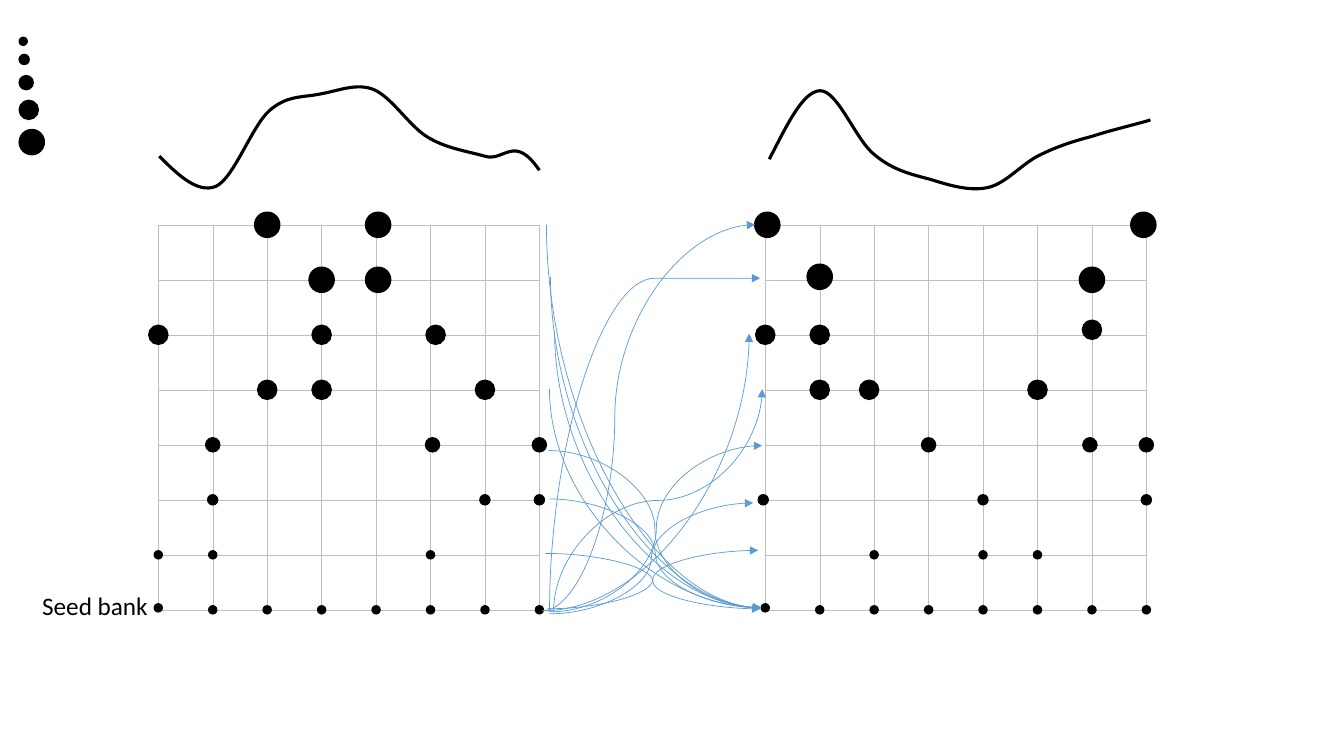
from dataclasses import dataclass

from lxml import etree
from pptx import Presentation
from pptx.dml.color import RGBColor
from pptx.enum.shapes import MSO_CONNECTOR, MSO_SHAPE
from pptx.enum.text import MSO_AUTO_SIZE
from pptx.oxml.ns import qn
from pptx.util import Inches, Pt

OVAL = MSO_SHAPE.OVAL
CURVE = MSO_CONNECTOR.CURVE
FIT = MSO_AUTO_SIZE.SHAPE_TO_FIT_TEXT


@dataclass(frozen=True)
class Theme:
    """Colours, font and sizes of the slide."""
    ink: RGBColor = RGBColor(0, 0, 0)
    grid: str = "BFBFBF"
    link: RGBColor = RGBColor(0x5B, 0x9B, 0xD5)
    font: str = "Calibri"
    label: Pt = Pt(18)
    grid_line: Pt = Pt(0.25)
    dot_line: Pt = Pt(1)
    wave_line: Pt = Pt(2.25)
    link_line: Pt = Pt(0.5)


T = Theme()
N = 7
COL, ROW = 0.54, 3.82 / N
GRID_TOP, WAVE_TOP = 2.23, 0.86
ROW_SIZES = [0.25, 0.25, 0.19, 0.19, 0.14, 0.1, 0.08, 0.08]

LEFT_DOTS = [[2, 4], [3, 4], [0, 3, 5], [2, 3, 6], [1, 5, 7], [1, 6, 7], [0, 1, 5], range(8)]
LEFT_NUDGES = {(4, 0): (0.02, 0), (4, 1): (0.02, 0), (5, 2): (0.05, 0),
               (5, 4): (0.02, 0), (0, 7): (0, -0.02)}
LEFT_WAVE = [(0, 0.69), (0.19, 0.88), (0.38, 1.06), (0.56, 0.99), (0.74, 0.91), (0.92, 0.39),
             (1.09, 0.24), (1.27, 0.08), (1.43, 0.11), (1.61, 0.07), (1.78, 0.04),
             (1.96, -0.04), (2.13, 0.03), (2.31, 0.11), (2.48, 0.39), (2.66, 0.5),
             (2.84, 0.61), (3.05, 0.64), (3.23, 0.69), (3.42, 0.75), (3.52, 0.46), (3.77, 0.83)]

RIGHT_DOTS = [[0, 7], [1, 6], [0, 1, 6], [1, 2, 5], [3, 6, 7], [0, 4, 7], [2, 4, 5], range(8)]
RIGHT_NUDGES = {(0, 0): (0.02, 0), (7, 0): (-0.03, 0), (1, 1): (0, -0.03), (6, 2): (0, -0.05),
                (2, 3): (-0.05, 0), (6, 4): (-0.02, 0), (0, 5): (-0.02, 0), (0, 7): (0, -0.02)}
RIGHT_WAVE = [(0, 0.72), (0.17, 0.39), (0.33, 0.05), (0.5, 0.04), (0.68, 0.03), (0.86, 0.54),
              (1.05, 0.68), (1.23, 0.83), (1.41, 0.87), (1.6, 0.92), (1.79, 0.98),
              (1.99, 1.04), (2.17, 1), (2.35, 0.96), (2.51, 0.76), (2.68, 0.68),
              (2.86, 0.59), (3.02, 0.54), (3.21, 0.49), (3.39, 0.43), (3.69, 0.36), (3.78, 0.33)]

LINKS = [
    ((0.04, 0), (2.17, 3.8), "curvedConnector2", True, None),
    ((0.08, 0.52), (2.17, 3.8), "curvedConnector2", True, None),
    ((0.12, 1.06), (2.17, 3.8), "curvedConnector2", True, None),
    ((0.07, 1.63), (2.17, 3.8), "curvedConnector2", True, None),
    ((0.07, 2.72), (2.17, 3.8), "curvedConnector3", False, 0.5),
    ((0.06, 2.24), (2.17, 3.8), "curvedConnector3", False, 0.5),
    ((0.03, 3.26), (2.16, 3.81), "curvedConnector3", False, 0.5),
    ((0, 3.83), (2.11, 0), "curvedConnector3", False, 0.34),
    ((0.07, 3.84), (2.16, 0.53), "curvedConnector3", True, 1),
    ((0, 3.83), (2.05, 1.08), "curvedConnector2", False, None),
    ((0.11, 3.84), (2.18, 1.63), "curvedConnector3", True, 0.5),
    ((0.08, 3.84), (2.18, 2.19), "curvedConnector3", False, 0.5),
    ((0.07, 3.86), (2.09, 2.76), "curvedConnector3", False, 0.5),
    ((0.05, 3.81), (2.14, 3.23), "curvedConnector3", False, 0.5),
]


def add_dot(s, x, y, size):
    """Draw a black dot centred on x, y."""
    sp = s.shapes.add_shape(OVAL, Inches(x - size / 2), Inches(y - size / 2),
                            Inches(size), Inches(size))
    sp.shadow.inherit = False
    sp.fill.solid()
    sp.fill.fore_color.rgb = sp.line.color.rgb = T.ink
    sp.line.width = T.dot_line


def add_grid(s, x, y):
    """Draw the empty square grid as a table with thin borders."""
    tbl = s.shapes.add_table(N, N, Inches(x), Inches(y), Inches(COL * N), Inches(ROW * N)).table
    tbl.first_row = tbl.horz_banding = False
    for col in tbl.columns:
        col.width = Inches(COL)
    for row in tbl.rows:
        row.height = Inches(ROW)
    for cell in tbl.iter_cells():
        tcPr = cell._tc.get_or_add_tcPr()
        for side in ("lnL", "lnR", "lnT", "lnB"):
            ln = etree.SubElement(tcPr, qn("a:" + side), w=str(T.grid_line))
            fill = etree.SubElement(ln, qn("a:solidFill"))
            etree.SubElement(fill, qn("a:srgbClr"), val=T.grid)
        cell.fill.background()


def add_wave(s, x, y, points):
    """Draw a smooth line through Bezier points given from x, y."""
    start, *rest = [(Inches(x + dx), Inches(y + dy)) for dx, dy in points]
    fb = s.shapes.build_freeform(*start)
    fb.add_line_segments(rest, close=False)
    sp = fb.convert_to_shape()
    sp.shadow.inherit = False
    sp.fill.background()
    sp.line.color.rgb = T.ink
    sp.line.width = T.wave_line
    steps = list(sp._element.iter(qn("a:lnTo")))
    for i in range(0, len(steps), 3):
        bezier = etree.SubElement(steps[i].getparent(), qn("a:cubicBezTo"))
        for step in steps[i:i + 3]:
            bezier.append(step[0])
            step.getparent().remove(step)


def add_panel(s, x, wave_x, dots, nudges, wave):
    """Draw one grid with its dots on the nodes and the wave above."""
    add_grid(s, x, GRID_TOP)
    for row, (cols, size) in enumerate(zip(dots, ROW_SIZES)):
        for col in cols:
            dx, dy = nudges.get((col, row), (0, 0))
            add_dot(s, x + col * COL + dx, GRID_TOP + row * ROW + dy, size)
    add_wave(s, wave_x, WAVE_TOP, wave)


def add_link(s, x, y, start, end, preset, upright, bend):
    """Draw a curved arrow; an upright one leaves its start vertically."""
    (x1, y1), (x2, y2) = start, end
    turn = 0
    if upright:
        cx, cy = (x1 + x2) / 2, (y1 + y2) / 2
        a, b = abs(y2 - y1) / 2, (x2 - x1) / 2
        turn = 270 if y2 > y1 else 90
        if turn == 270:
            b = -b
        x1, y1, x2, y2 = cx + a, cy + b, cx - a, cy - b
    c = s.shapes.add_connector(CURVE, Inches(x + x1), Inches(y + y1),
                               Inches(x + x2), Inches(y + y2))
    c.line.color.rgb = T.link
    c.line.width = T.link_line
    spPr = c._element.spPr
    etree.SubElement(c.line._get_or_add_ln(), qn("a:tailEnd"), type="triangle")
    etree.SubElement(spPr, qn("a:effectLst"))
    spPr.find(qn("a:xfrm")).set("rot", str(turn * 60000))
    geom = spPr.find(qn("a:prstGeom"))
    geom.set("prst", preset)
    if bend is not None:
        etree.SubElement(geom.find(qn("a:avLst")), qn("a:gd"), name="adj1",
                         fmla=f"val {round(bend * 100000)}")


def add_legend(s, x):
    """Draw the column of dot sizes, aligned at the left."""
    for size, mid in zip((0.08, 0.1, 0.14, 0.19, 0.25), (0.41, 0.59, 0.82, 1.09, 1.41)):
        add_dot(s, x + size / 2, mid, size)


def add_label(s, x, y, w, h, text):
    """Write the label of the bottom row."""
    tf = s.shapes.add_textbox(Inches(x), Inches(y), Inches(w), Inches(h)).text_frame
    tf.word_wrap = False
    tf.auto_size = FIT
    r = tf.paragraphs[0].add_run()
    r.text = text
    for key, value in {"name": T.font, "size": T.label}.items():
        setattr(r.font, key, value)
    r.font.color.rgb = T.ink


def main():
    """Build the slide and save it."""
    prs = Presentation()
    prs.slide_width, prs.slide_height = Inches(13.33), Inches(7.5)
    s = prs.slides.add_slide(prs.slide_layouts[6])
    add_legend(s, 0.19)
    add_panel(s, 1.57, 1.58, LEFT_DOTS, LEFT_NUDGES, LEFT_WAVE)
    add_label(s, 0.32, 5.81, 1.26, 0.4, "Seed bank")
    add_panel(s, 7.59, 7.63, RIGHT_DOTS, RIGHT_NUDGES, RIGHT_WAVE)
    for link in LINKS:
        add_link(s, 5.38, GRID_TOP, *link)
    prs.save("out.pptx")


if __name__ == "__main__":
    main()
